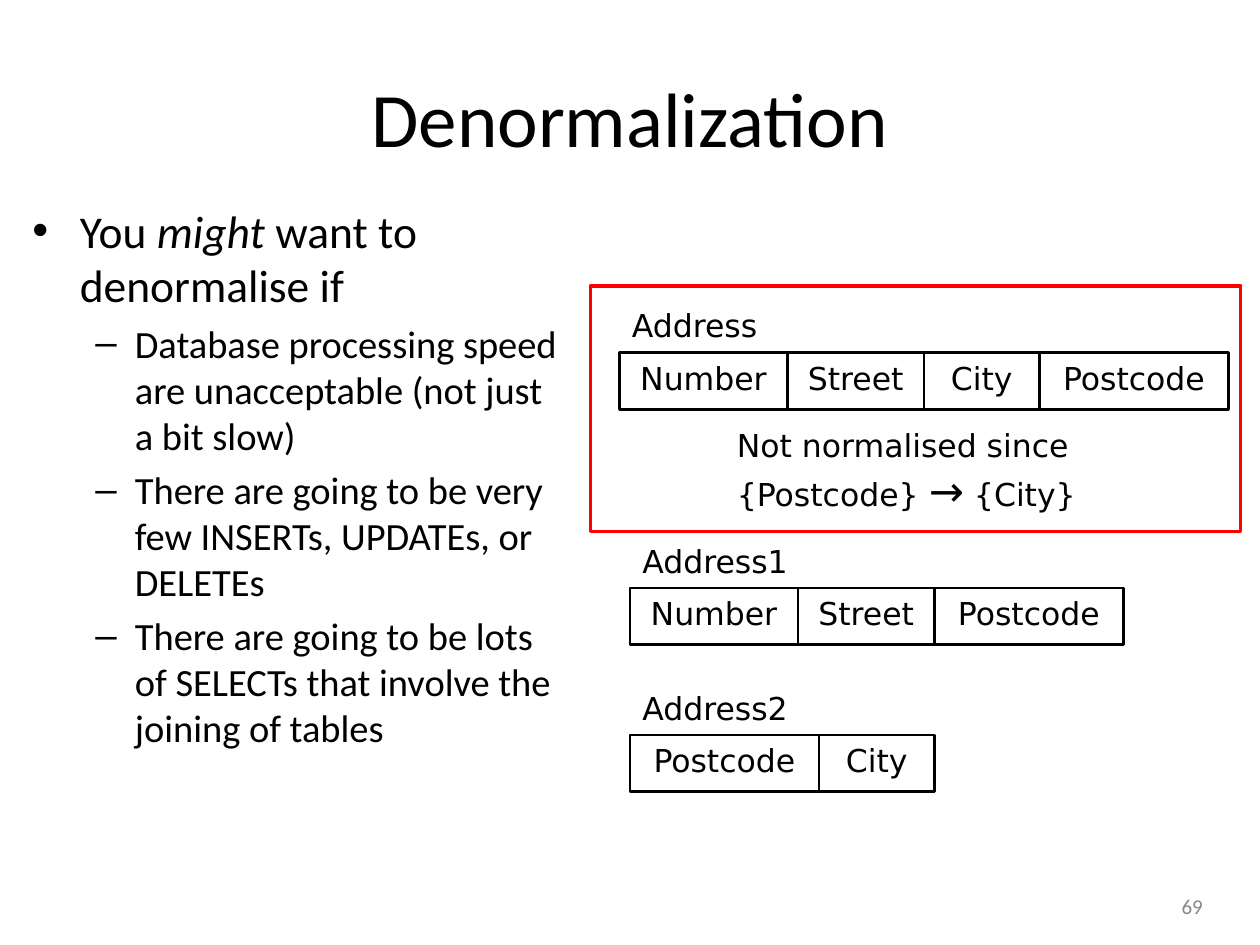
from dataclasses import dataclass

from lxml import etree
from pptx import Presentation
from pptx.dml.color import RGBColor
from pptx.enum.shapes import MSO_SHAPE
from pptx.enum.text import MSO_ANCHOR, PP_ALIGN
from pptx.oxml.ns import qn
from pptx.util import Pt

RECTANGLE = MSO_SHAPE.RECTANGLE
LEFT, CENTER = PP_ALIGN.LEFT, PP_ALIGN.CENTER
TOP, MIDDLE = MSO_ANCHOR.TOP, MSO_ANCHOR.MIDDLE

COLORS = {"text": "000000", "frame": "FF0000", "number": "888888"}
BODY_FONT, DIAGRAM_FONT = "Calibri", "DejaVu Sans"
DIAGRAM_SIZE = 18
ROW_HEIGHT = 32.4
LABEL_RISE, LABEL_HEIGHT = 30, 31
COLUMN_WIDTHS = {"Number": 96, "Street": 78, "City": 66, "Postcode": 108}


@dataclass(frozen=True)
class Box:
    left: float
    top: float
    width: float
    height: float

    def lengths(self) -> tuple:
        return Pt(self.left), Pt(self.top), Pt(self.width), Pt(self.height)


@dataclass(frozen=True)
class Span:
    text: str
    size: float
    italic: bool = False


@dataclass(frozen=True)
class Bullet:
    spans: list[Span]
    level: int = 0


@dataclass(frozen=True)
class BulletStyle:
    symbol: str
    margin: float
    hanging: float
    space_before: float


@dataclass(frozen=True)
class Relation:
    name: str
    left: float
    top: float
    columns: list[str]


BULLET_STYLES = [BulletStyle("•", 27, 27, 0), BulletStyle("–", 58.5, 22.5, 4.4)]

BULLETS = [
    Bullet([Span("You ", 26), Span("might", 26, True), Span(" want to denormalise if", 26)]),
    Bullet([Span("Database processing speed are unacceptable (not just a bit slow)", 22)], 1),
    Bullet([Span("There are going to be very few INSERTs, UPDATEs, or DELETEs", 22)], 1),
    Bullet([Span("There are going to be lots of SELECTs that involve the joining of tables", 22)], 1),
]

RELATIONS = [
    Relation("Address", 354, 201.6, ["Number", "Street", "City", "Postcode"]),
    Relation("Address1", 360, 336, ["Number", "Street", "Postcode"]),
    Relation("Address2", 360, 420, ["Postcode", "City"]),
]

DEPENDENCY_NOTE = [
    [Span("Not normalised since", 18)],
    [Span("{Postcode} ", 18), Span("→", 24), Span(" {City}", 18)],
]


def style_font(font, size: float, name: str, color: str = "text", italic: bool = False) -> None:
    font.size = Pt(size)
    font.name = name
    font.italic = italic
    font.color.rgb = RGBColor.from_string(COLORS[color])


def add_spans(paragraph, spans: list[Span], font_name: str) -> None:
    for span in spans:
        run = paragraph.add_run()
        run.text = span.text
        style_font(run.font, span.size, font_name, italic=span.italic)


def add_text_frame(slide, box: Box, anchor=TOP):
    text_frame = slide.shapes.add_textbox(*box.lengths()).text_frame
    text_frame.word_wrap = True
    text_frame.vertical_anchor = anchor
    return text_frame


def add_line_of_text(slide, box: Box, text: str, size: float, font_name: str,
                     color: str = "text", alignment=LEFT, anchor=TOP) -> None:
    text_frame = add_text_frame(slide, box, anchor)
    text_frame.text = text
    paragraph = text_frame.paragraphs[0]
    paragraph.alignment = alignment
    style_font(paragraph.runs[0].font, size, font_name, color)


def add_outline(slide, box: Box, color: str, line_width: float):
    shape = slide.shapes.add_shape(RECTANGLE, *box.lengths())
    shape.shadow.inherit = False
    shape.fill.background()
    shape.line.color.rgb = RGBColor.from_string(COLORS[color])
    shape.line.width = Pt(line_width)
    return shape


def set_bullet(paragraph, level: int) -> None:
    style = BULLET_STYLES[level]
    paragraph.level = level
    paragraph.space_before = Pt(style.space_before)
    properties = paragraph._p.get_or_add_pPr()
    properties.set("marL", str(Pt(style.margin)))
    properties.set("indent", str(-Pt(style.hanging)))
    etree.SubElement(properties, qn("a:buFont")).set("typeface", "Arial")
    etree.SubElement(properties, qn("a:buChar")).set("char", style.symbol)


def add_bullets(slide, box: Box, bullets: list[Bullet]) -> None:
    text_frame = add_text_frame(slide, box)
    for index, bullet in enumerate(bullets):
        paragraph = text_frame.add_paragraph() if index else text_frame.paragraphs[0]
        set_bullet(paragraph, bullet.level)
        add_spans(paragraph, bullet.spans, BODY_FONT)


def add_note(slide, box: Box, lines: list[list[Span]]) -> None:
    text_frame = add_text_frame(slide, box)
    for index, spans in enumerate(lines):
        paragraph = text_frame.add_paragraph() if index else text_frame.paragraphs[0]
        add_spans(paragraph, spans, DIAGRAM_FONT)


def add_relation(slide, relation: Relation) -> None:
    label_box = Box(relation.left, relation.top - LABEL_RISE, 108, LABEL_HEIGHT)
    add_line_of_text(slide, label_box, relation.name, DIAGRAM_SIZE, DIAGRAM_FONT)
    left = relation.left
    for column in relation.columns:
        width = COLUMN_WIDTHS[column]
        cell = add_outline(slide, Box(left, relation.top, width, ROW_HEIGHT), "text", 1.5)
        text_frame = cell.text_frame
        text_frame.text = column
        text_frame.vertical_anchor = TOP
        paragraph = text_frame.paragraphs[0]
        paragraph.alignment = CENTER
        style_font(paragraph.runs[0].font, DIAGRAM_SIZE, DIAGRAM_FONT)
        left += width


def main() -> None:
    presentation = Presentation()
    presentation.slide_width, presentation.slide_height = Pt(720), Pt(540)
    slide = presentation.slides.add_slide(presentation.slide_layouts[6])

    # Title and bullet list
    add_line_of_text(slide, Box(36, 21.6, 648, 90), "Denormalization", 44, BODY_FONT,
                     alignment=CENTER, anchor=MIDDLE)
    add_bullets(slide, Box(11.5, 112.3, 314.6, 400.3), BULLETS)

    # Relations before and after normalisation
    for relation in RELATIONS:
        add_relation(slide, relation)

    # Dependency note and the frame around the first relation
    add_note(slide, Box(414, 240, 232, 60), DEPENDENCY_NOTE)
    add_outline(slide, Box(337.5, 163.3, 371.5, 140.5), "frame", 2)

    # Slide number
    add_line_of_text(slide, Box(660, 506.2, 42.5, 23), "69", 12, BODY_FONT,
                     color="number", alignment=CENTER, anchor=MIDDLE)

    presentation.save("out.pptx")


if __name__ == "__main__":
    main()
